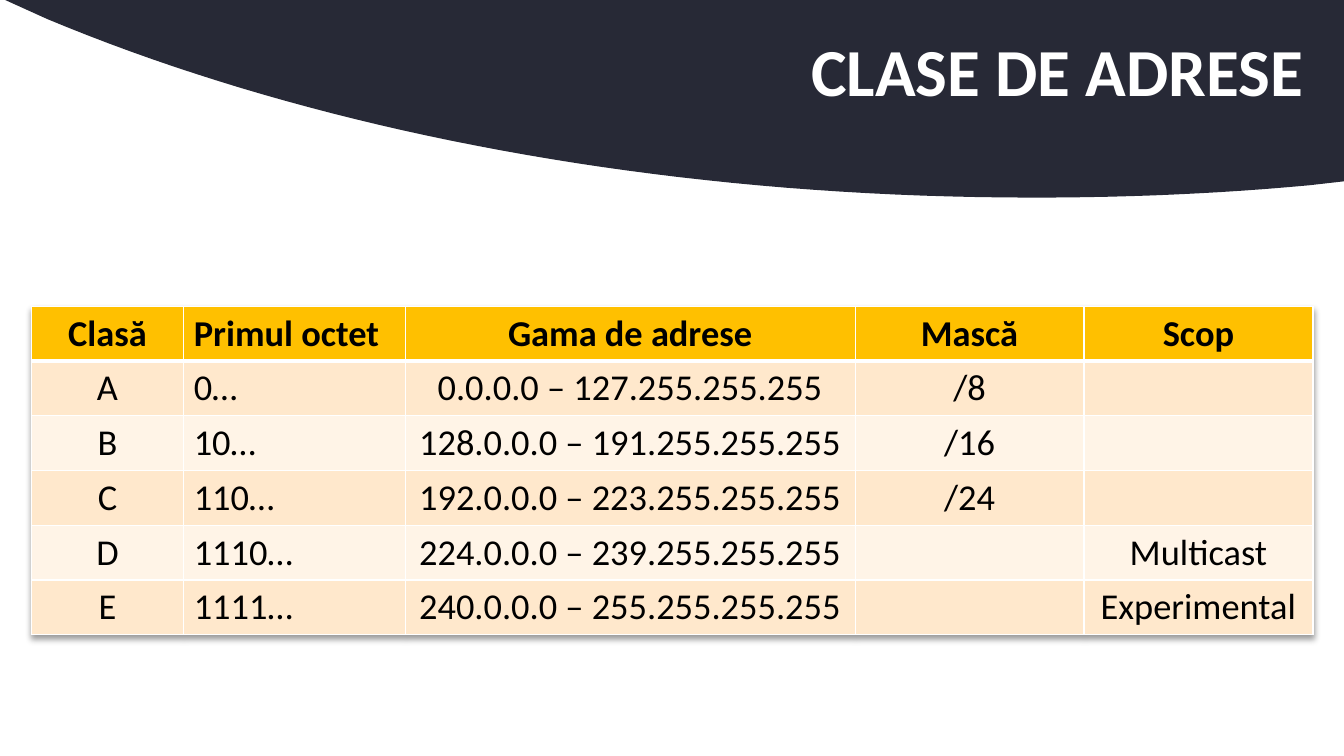
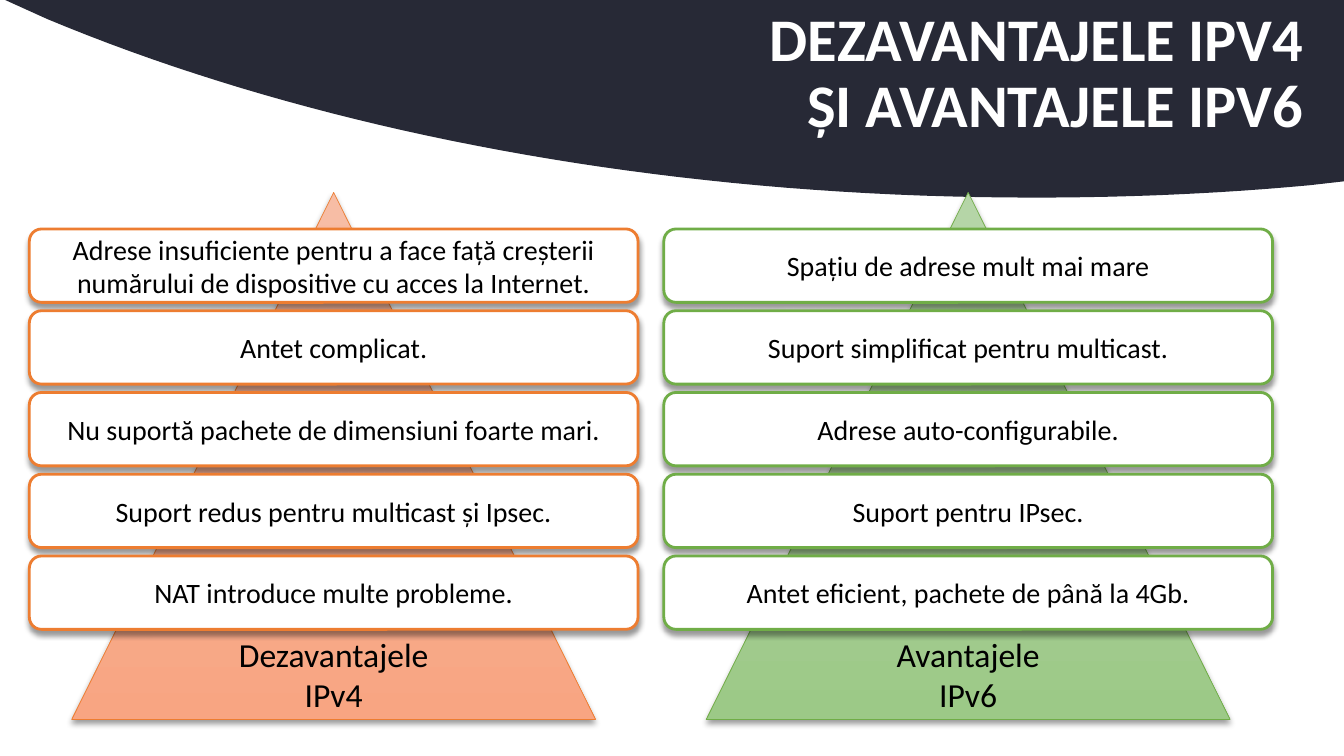
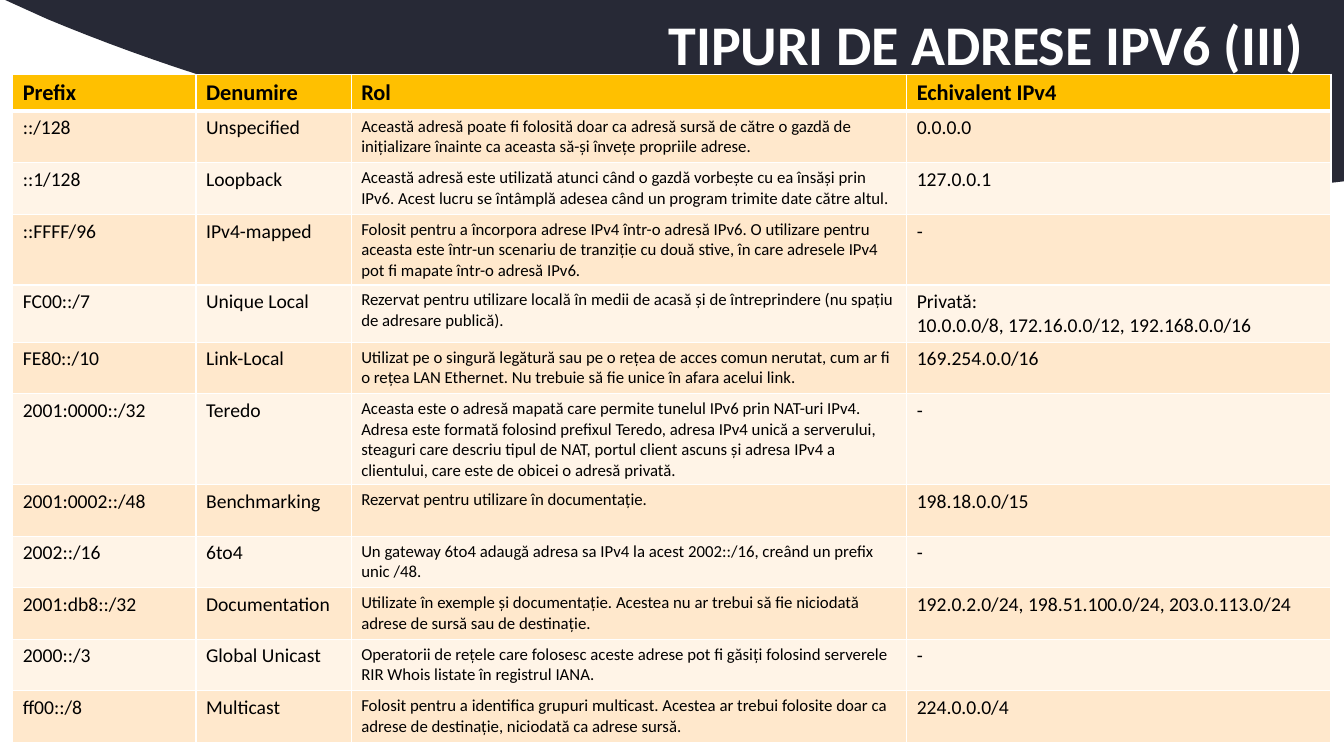
"""Build three slides about IPv4 and IPv6 addressing."""
import copy

import pptx
import pptx.dml.color
import pptx.enum.shapes
import pptx.enum.text
import pptx.oxml
import pptx.oxml.ns
import pptx.util

Cm = pptx.util.Cm
Pt = pptx.util.Pt
ALIGN = pptx.enum.text.PP_ALIGN
ANCHOR = pptx.enum.text.MSO_ANCHOR
SHAPE = pptx.enum.shapes.MSO_SHAPE
qn = pptx.oxml.ns.qn

FONT = "Calibri"
COLORS = {
    "band": "272936",
    "white": "FFFFFF",
    "black": "000000",
    "header": "FFC000",
    "row_dark": "FFE8CC",
    "row_light": "FFF4E7",
    "orange": "ED7D31",
    "green": "70AD47",
}
GRADIENTS = {
    "orange": ("F7BDA5", "F5B196", "F8A582"),
    "green": ("B5D5A7", "AACE9A", "9CC987"),
}
SLIDE_WIDTH, SLIDE_HEIGHT = 33.87, 19.05
BAND_CURVES = [
    ((32.99, 4.67), (30.73, 4.88), (28.42, 4.98), (26.06, 4.98)),
    ((26.06, 4.98), (16.61, 4.98), (7.95, 3.3), (1.19, 0.48)),
]
CURVE_STEPS = 40


def rgb(value):
    return pptx.dml.color.RGBColor.from_string(value)


def write(frame, text, size=20, color="black", bold=False, align=ALIGN.LEFT, spacing=None):
    for index, line in enumerate(text.split("\n")):
        paragraph = frame.add_paragraph() if index else frame.paragraphs[0]
        paragraph.text = line
        paragraph.alignment = align
        if spacing:
            paragraph.line_spacing = spacing
        for run in paragraph.runs:
            run.font.name = FONT
            run.font.size = Pt(size)
            run.font.bold = bold
            run.font.color.rgb = rgb(COLORS[color])


def bezier(curve):
    for step in range(CURVE_STEPS + 1):
        t = step / CURVE_STEPS
        weights = ((1 - t) ** 3, 3 * t * (1 - t) ** 2, 3 * t * t * (1 - t), t ** 3)
        yield tuple(sum(w * point[axis] for w, point in zip(weights, curve)) for axis in (0, 1))


def element(body):
    return pptx.oxml.parse_xml(body.replace(" ", f" {pptx.oxml.ns.nsdecls('a')} ", 1))


def outer_shadow():
    return element(
        f'<a:outerShdw blurRad="{Pt(4)}" dist="{Pt(3)}" dir="5400000" rotWithShape="0">'
        f'<a:srgbClr val="{COLORS["black"]}"><a:alpha val="40000"/></a:srgbClr></a:outerShdw>'
    )


def set_borders(cell, top, bottom):
    properties = cell._tc.get_or_add_tcPr()
    for side, width in (("L", 1), ("R", 1), ("T", top), ("B", bottom)):
        properties.append(element(
            f'<a:ln{side} w="{Pt(width)}"><a:solidFill>'
            f'<a:srgbClr val="{COLORS["white"]}"/></a:solidFill></a:ln{side}>'
        ))


class Deck:
    def __init__(self):
        self.presentation = pptx.Presentation()
        self.presentation.slide_width = Cm(SLIDE_WIDTH)
        self.presentation.slide_height = Cm(SLIDE_HEIGHT)
        self.slide = None

    def add_slide(self, title, size, title_height=3.68):
        self.slide = self.presentation.slides.add_slide(self.presentation.slide_layouts[6])
        self.band()
        box = self.slide.shapes.add_textbox(Cm(2.33), Cm(0.05), Cm(31.54), Cm(title_height))
        frame = box.text_frame
        frame.word_wrap = True
        frame.vertical_anchor = ANCHOR.MIDDLE
        frame.margin_right = Cm(1.02)
        write(frame, title, size=size, color="white", bold=True, align=ALIGN.RIGHT, spacing=0.9)

    def band(self):
        points = [(SLIDE_WIDTH, 0), (SLIDE_WIDTH, 4.57)]
        for curve in BAND_CURVES:
            points.extend(bezier(curve))
        builder = self.slide.shapes.build_freeform(Cm(0.13), 0)
        builder.add_line_segments([(Cm(x), Cm(y)) for x, y in points], close=True)
        shape = builder.convert_to_shape()
        shape.shadow.inherit = False
        shape.fill.solid()
        shape.fill.fore_color.rgb = rgb(COLORS["band"])
        shape.line.fill.background()

    def shape(self, kind, left, top, width, height, text, size, accent, line_width, anchor):
        shape = self.slide.shapes.add_shape(kind, Cm(left), Cm(top), Cm(width), Cm(height))
        shape.shadow.inherit = False
        shape._element.spPr.find(qn("a:effectLst")).append(outer_shadow())
        shape.fill.solid()
        shape.fill.fore_color.rgb = rgb(COLORS["white"])
        shape.line.color.rgb = rgb(COLORS[accent])
        shape.line.width = Pt(line_width)
        shape.text_frame.word_wrap = True
        shape.text_frame.vertical_anchor = anchor
        write(shape.text_frame, text, size=size, align=ALIGN.CENTER)
        return shape

    def pyramid(self, left, label, accent, items):
        width, card_width = 13.2, 15.34
        triangle = self.shape(
            SHAPE.ISOSCELES_TRIANGLE, left + (card_width - width) / 2, 4.85, width, 13.28,
            label, 24, accent, 0.5, ANCHOR.BOTTOM)
        triangle.fill.gradient()
        triangle.fill.gradient_angle = 270
        stops = triangle._element.spPr.find(qn("a:gradFill")).find(qn("a:gsLst"))
        stops.insert(1, copy.deepcopy(stops[0]))
        for index, color in enumerate(GRADIENTS[accent]):
            stop = triangle.fill.gradient_stops[index]
            stop.position = index / 2
            stop.color.rgb = rgb(color)
        for index, item in enumerate(items):
            self.shape(SHAPE.ROUNDED_RECTANGLE, left, 5.77 + index * 2.06, card_width, 1.85,
                       item, 20, accent, 2, ANCHOR.MIDDLE)

    def table(self, left, top, widths, heights, rows, header_size, sizes, aligns, shadow=False):
        frame = self.slide.shapes.add_table(
            len(rows), len(widths), Cm(left), Cm(top), Cm(sum(widths)),
            Cm(heights[0] + heights[1] * (len(rows) - 1)))
        table = frame.table
        if shadow:
            effects = element("<a:effectLst />")
            effects.append(outer_shadow())
            table._tbl.tblPr.insert(0, effects)
        for column, width in zip(table.columns, widths):
            column.width = Cm(width)
        for row_index, row in enumerate(rows):
            header = row_index == 0
            table.rows[row_index].height = Cm(heights[0] if header else heights[1])
            fill = "header" if header else "row_dark" if row_index % 2 else "row_light"
            for column_index, text in enumerate(row):
                cell = table.cell(row_index, column_index)
                set_borders(cell, 3 if row_index == 1 else 1, 3 if header else 1)
                cell.fill.solid()
                cell.fill.fore_color.rgb = rgb(COLORS[fill])
                write(cell.text_frame, text, size=header_size if header else sizes[column_index],
                      bold=header, align=aligns[column_index])


ADDRESS_CLASSES = [
    ("Clasă", "Primul octet", "Gama de adrese", "Mască", "Scop"),
    ("A", "0…", "0.0.0.0 – 127.255.255.255", "/8", ""),
    ("B", "10…", "128.0.0.0 – 191.255.255.255", "/16", ""),
    ("C", "110…", "192.0.0.0 – 223.255.255.255", "/24", ""),
    ("D", "1110…", "224.0.0.0 – 239.255.255.255", "", "Multicast"),
    ("E", "1111…", "240.0.0.0 – 255.255.255.255", "", "Experimental"),
]
DISADVANTAGES = [
    "Adrese insuficiente pentru a face față creșterii numărului de dispositive cu acces la Internet.",
    "Antet complicat.",
    "Nu suportă pachete de dimensiuni foarte mari.",
    "Suport redus pentru multicast și Ipsec.",
    "NAT introduce multe probleme.",
]
ADVANTAGES = [
    "Spațiu de adrese mult mai mare",
    "Suport simplificat pentru multicast.",
    "Adrese auto-configurabile.",
    "Suport pentru IPsec.",
    "Antet eficient, pachete de până la 4Gb.",
]
ADDRESS_TYPES = [
    ("Prefix", "Denumire", "Rol", "Echivalent IPv4"),
    ("::/128", "Unspecified",
     "Această adresă poate fi folosită doar ca adresă sursă de către o gazdă de inițializare "
     "înainte ca aceasta să-și învețe propriile adrese.", "0.0.0.0"),
    ("::1/128", "Loopback",
     "Această adresă este utilizată atunci când o gazdă vorbește cu ea însăși prin IPv6. "
     "Acest lucru se întâmplă adesea când un program trimite date către altul.", "127.0.0.1"),
    ("::FFFF/96", "IPv4-mapped",
     "Folosit pentru a încorpora adrese IPv4 într-o adresă IPv6. O utilizare pentru aceasta este "
     "într-un scenariu de tranziție cu două stive, în care adresele IPv4 pot fi mapate "
     "într-o adresă IPv6.", "-"),
    ("FC00::/7", "Unique Local",
     "Rezervat pentru utilizare locală în medii de acasă și de întreprindere "
     "(nu spațiu de adresare publică).",
     "Privată:\n10.0.0.0/8, 172.16.0.0/12, 192.168.0.0/16"),
    ("FE80::/10", "Link-Local",
     "Utilizat pe o singură legătură sau pe o rețea de acces comun nerutat, cum ar fi o rețea "
     "LAN Ethernet. Nu trebuie să fie unice în afara acelui link.", "169.254.0.0/16"),
    ("2001:0000::/32", "Teredo",
     "Aceasta este o adresă mapată care permite tunelul IPv6 prin NAT-uri IPv4. Adresa este "
     "formată folosind prefixul Teredo, adresa IPv4 unică a serverului, steaguri care descriu "
     "tipul de NAT, portul client ascuns și adresa IPv4 a clientului, care este de obicei "
     "o adresă privată.", "-"),
    ("2001:0002::/48", "Benchmarking",
     "Rezervat pentru utilizare în documentație.", "198.18.0.0/15"),
    ("2002::/16", "6to4",
     "Un gateway 6to4 adaugă adresa sa IPv4 la acest 2002::/16, creând un prefix unic /48.", "-"),
    ("2001:db8::/32", "Documentation",
     "Utilizate în exemple și documentație. Acestea nu ar trebui să fie niciodată adrese de "
     "sursă sau de destinație.", "192.0.2.0/24, 198.51.100.0/24, 203.0.113.0/24"),
    ("2000::/3", "Global Unicast",
     "Operatorii de rețele care folosesc aceste adrese pot fi găsiți folosind serverele "
     "RIR Whois listate în registrul IANA.", "-"),
    ("ff00::/8", "Multicast",
     "Folosit pentru a identifica grupuri multicast. Acestea ar trebui folosite doar ca adrese "
     "de destinație, niciodată ca adrese sursă.", "224.0.0.0/4"),
]


def main():
    deck = Deck()

    deck.add_slide("CLASE DE ADRESE", 48)
    deck.table(0.79, 7.72, (3.84, 5.59, 11.33, 5.77, 5.77), (1.38, 1.38), ADDRESS_CLASSES,
               26, [26] * 5, [ALIGN.CENTER, ALIGN.LEFT] + [ALIGN.CENTER] * 3, shadow=True)

    deck.add_slide("DEZAVANTAJELE IPV4\vȘI AVANTAJELE IPV6", 43.2)
    deck.pyramid(0.74, "Dezavantajele\vIPv4", "orange", DISADVANTAGES)
    deck.pyramid(16.73, "Avantajele\vIPv6", "green", ADVANTAGES)

    deck.add_slide("TIPURI DE ADRESE IPV6 (III)", 40, title_height=2.29)
    deck.table(0.32, 1.87, (4.62, 3.91, 14, 10.69), (0.92, 1.3), ADDRESS_TYPES,
               16, (14, 14, 12, 14), [ALIGN.LEFT] * 4)

    deck.presentation.save("out.pptx")


if __name__ == "__main__":
    main()
